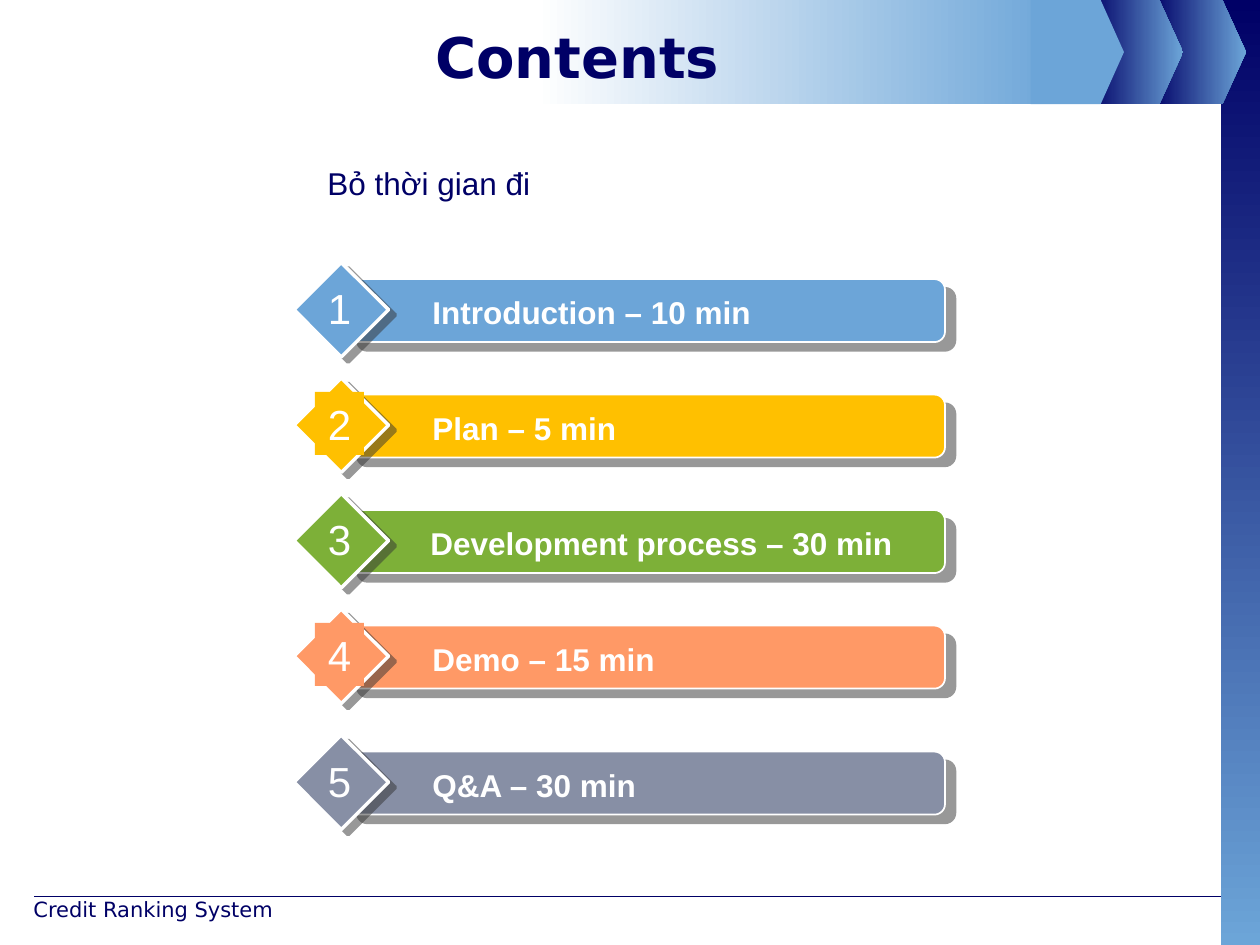
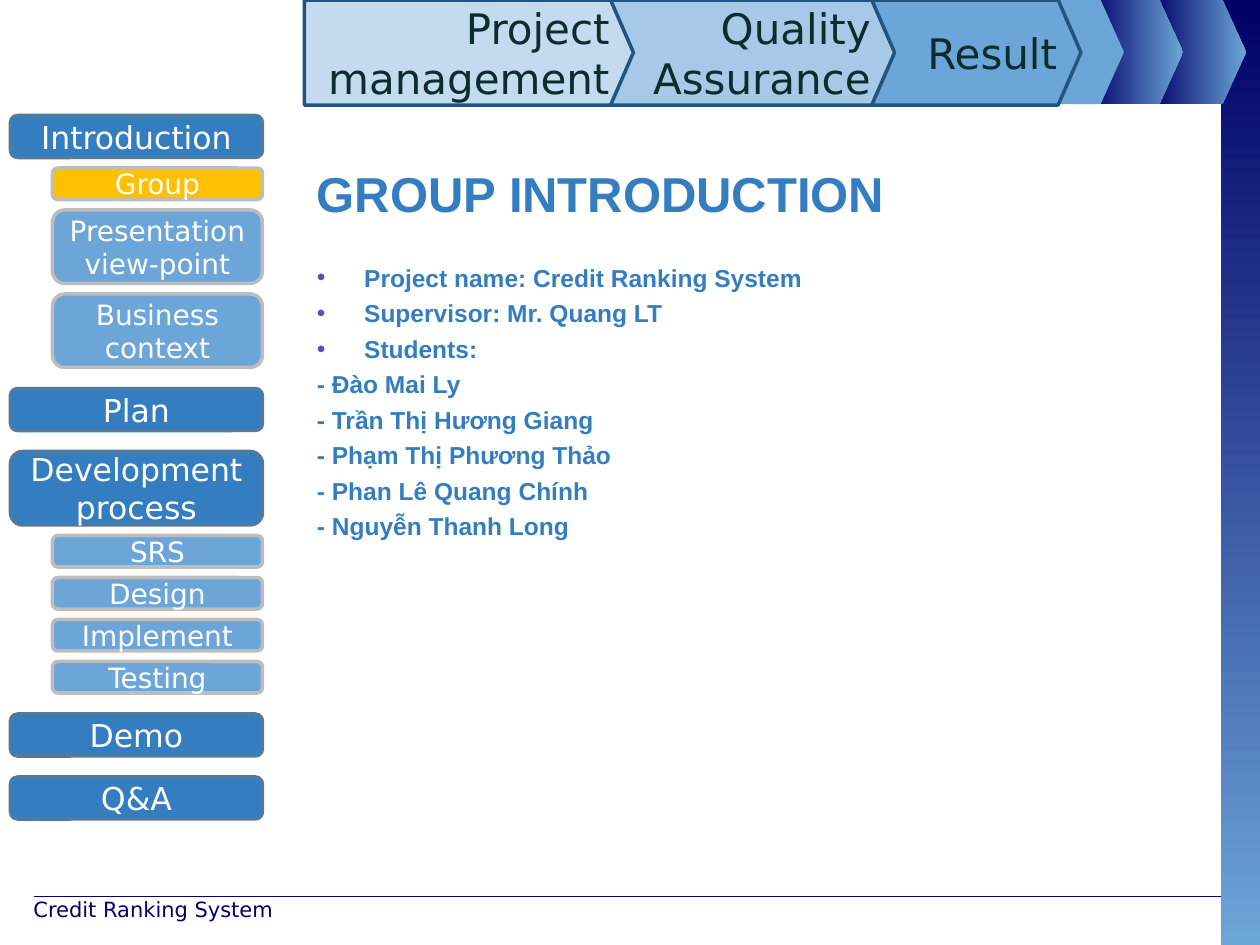
from lxml import etree
from pptx import Presentation
from pptx.dml.color import RGBColor
from pptx.enum import shapes, text
from pptx.oxml.ns import qn
from pptx.util import Pt

SHAPE = shapes.MSO_SHAPE
CENTER, LEFT, RIGHT = text.PP_ALIGN.CENTER, text.PP_ALIGN.LEFT, text.PP_ALIGN.RIGHT
TOP, MIDDLE = text.MSO_ANCHOR.TOP, text.MSO_ANCHOR.MIDDLE

SANS, ARIAL = "DejaVu Sans", "Arial"
NAVY, SKY, BLUE, GOLD, WHITE = "000066", "6CA5D8", "337DC0", "FFC000", "FFFFFF"
FOOTER = "Credit Ranking System"

# label, colour, top, alignment, whether the text boxes are filled
AGENDA = [
    ("Introduction – 10 min", SKY, 150, LEFT, False),
    ("Plan – 5 min", GOLD, 216, LEFT, True),
    ("Development process – 30 min", "7DB038", 282, CENTER, False),
    ("Demo – 15 min", "FF9966", 348, LEFT, True),
    ("Q&A – 30 min", "878FA5", 420, LEFT, False),
]

# section, height, sub-sections as (name, height)
MENU = [
    ("Introduction", 24, [("Group", 18), ("Presentation view-point", 42),
                          ("Business context", 42)]),
    ("Plan", 24, []),
    ("Development process", 42, [("SRS", 18), ("Design", 18),
                                 ("Implement", 18), ("Testing", 18)]),
    ("Demo", 24, []),
    ("Q&A", 24, []),
]
CURRENT = "Group"

# name, left, width, colour; the later ones lie on top
STAGES = [
    ("Result", 424, 193.7, SKY),
    ("Quality Assurance", 317.5, 193.7, "A7C9E8"),
    ("Project management", 174, 188, "C4DBEF"),
]

HEADING = "GROUP INTRODUCTION"
FACTS = ["Project name: Credit Ranking System", "Supervisor: Mr. Quang LT", "Students:"]
STUDENTS = ["- Đào Mai Ly", "- Trần Thị Hương Giang", "- Phạm Thị Phương Thảo",
            "- Phan Lê Quang Chính", "- Nguyễn Thanh Long"]


def rgb(value):
    return RGBColor.from_string(value)


def add_run(p, words, size, font, color, bold=False):
    r = p.add_run()
    r.text = words
    r.font.size, r.font.name, r.font.bold = Pt(size), font, bold
    r.font.color.rgb = rgb(color)


def write(sp, words, size, font, color, align=LEFT, anchor=TOP, bold=False, wrap=True):
    tf = sp.text_frame
    tf.word_wrap, tf.vertical_anchor = wrap, anchor
    p = tf.paragraphs[0]
    p.alignment = align
    add_run(p, words, size, font, color, bold)


def add_text(slide, box, *args, **kwargs):
    sp = slide.shapes.add_textbox(*map(Pt, box))
    write(sp, *args, **kwargs)
    return sp


def add_shape(slide, kind, box, fill, line=None, adj=None):
    """Fill is one colour, or (first colour, last colour, angle); line is (colour, width)."""
    sp = slide.shapes.add_shape(kind, *map(Pt, box))
    sp.shadow.inherit = False
    if adj is not None:
        sp.adjustments[0] = adj
    if isinstance(fill, str):
        sp.fill.solid()
        sp.fill.fore_color.rgb = rgb(fill)
    else:
        sp.fill.gradient()
        sp.fill.gradient_angle = fill[2]
        for stop, color in zip(sp.fill.gradient_stops, fill):
            stop.color.rgb = rgb(color)
    if line:
        sp.line.color.rgb = rgb(line[0])
        sp.line.width = Pt(line[1])
    else:
        sp.line.fill.background()
    return sp


def cast_shadow(sp, distance, degrees):
    effects = sp._element.spPr.find(qn("a:effectLst"))
    shadow = etree.SubElement(effects, qn("a:outerShdw"), blurRad="0",
                              dist=str(Pt(distance)), dir=str(degrees * 60000),
                              algn="ctr", rotWithShape="0")
    color = etree.SubElement(shadow, qn("a:srgbClr"), val="333333")
    etree.SubElement(color, qn("a:alpha"), val="50000")


def set_indent(p, hang, bullet_color=None):
    pPr = p._p.get_or_add_pPr()
    pPr.set("marL", str(Pt(hang)))
    pPr.set("indent", str(-Pt(hang)))
    if bullet_color:
        color = etree.SubElement(pPr, qn("a:buClr"))
        etree.SubElement(color, qn("a:srgbClr"), val=bullet_color)
        etree.SubElement(pPr, qn("a:buFont"), typeface=ARIAL)
        etree.SubElement(pPr, qn("a:buChar"), char="•")


def new_slide(prs):
    """Add a slide with the shared top band, side band and footer."""
    slide = prs.slides.add_slide(prs.slide_layouts[6])
    rule = slide.shapes.add_connector(shapes.MSO_CONNECTOR.STRAIGHT,
                                      Pt(19.5), Pt(512.5), Pt(697.5), Pt(512.5))
    rule.line.color.rgb = rgb(NAVY)
    rule.line.width = Pt(0.75)
    etree.SubElement(rule._element.spPr, qn("a:effectLst"))

    add_shape(slide, SHAPE.RECTANGLE, (697.5, 0, 22.5, 540), (NAVY, SKY, 270))
    for left in (658, 622):
        add_shape(slide, SHAPE.PENTAGON, (left, 0, 54, 59.5), (NAVY, SKY, 0), adj=0.25)
    add_shape(slide, SHAPE.RECTANGLE, (306, 0, 301, 59.5), (WHITE, SKY, 0))
    add_shape(slide, SHAPE.PENTAGON, (589, 0, 53.3, 59.5), SKY, adj=0.25)
    add_text(slide, (12, 509, 168, 25), FOOTER, 12, SANS, NAVY)
    return slide


def add_agenda_row(slide, number, label, color, top, align, filled):
    bar = add_shape(slide, SHAPE.ROUNDED_RECTANGLE, (198, top + 9.5, 342, 36),
                    color, (WHITE, 1))
    cast_shadow(bar, 7.8, 40)
    diamond = add_shape(slide, SHAPE.DIAMOND, (168, top, 54, 54), color, (WHITE, 2))
    cast_shadow(diamond, 5, 37)
    label_box = (234, top + 14, 288, 29) if align == CENTER else (240, top + 14, 270, 29)
    number_box = (180, top + 8, 28, 36)
    for box, words, size, al, bold in ((label_box, label, 18, align, True),
                                       (number_box, str(number), 24, CENTER, False)):
        if filled:
            sp = add_shape(slide, SHAPE.RECTANGLE, box, color)
        else:
            sp = slide.shapes.add_textbox(*map(Pt, box))
        write(sp, words, size, ARIAL, WHITE, al, bold=bold, wrap=bold)


def add_menu(slide):
    def button(words, left, top, width, height, fill, line, size):
        sp = add_shape(slide, SHAPE.ROUNDED_RECTANGLE, (left, top, width, height),
                       fill, (line, 2))
        write(sp, words, size, SANS, WHITE, CENTER, MIDDLE)

    top = 66
    for section, height, parts in MENU:
        button(section, 6, top, 144, height, BLUE, "507AA0", 18)
        top += height
        for part, part_height in parts:
            top += 6
            fill = GOLD if part == CURRENT else SKY
            button(part, 30, top, 120, part_height, fill, "BDBDBD", 16)
            top += part_height
        top += 12


def build_contents(prs):
    slide = new_slide(prs)
    add_text(slide, (36, 9.5, 588, 45), "Contents", 32, SANS, NAVY, CENTER, MIDDLE, bold=True)
    for number, row in enumerate(AGENDA, 1):
        add_agenda_row(slide, number, *row)
    add_text(slide, (180, 90, 132, 29), "Bỏ thời gian đi", 18, ARIAL, NAVY, wrap=False)


def build_group(prs):
    slide = new_slide(prs)
    body = add_text(slide, (174, 90, 516, 60), HEADING, 28, ARIAL, BLUE, bold=True)
    heading = body.text_frame.paragraphs[0]
    heading.space_before, heading.space_after = Pt(2.5), Pt(19.5)
    for words in FACTS + STUDENTS:
        p = body.text_frame.add_paragraph()
        p.space_before = Pt(3.5)
        set_indent(p, 27, "5D4BC7" if words in FACTS else None)
        add_run(p, words, 14, ARIAL, BLUE, True)
    add_menu(slide)
    for name, left, width, color in STAGES:
        sp = add_shape(slide, SHAPE.PENTAGON, (left, 0, width, 60), color,
                       ("225480", 2), adj=0.217)
        write(sp, name, 24, SANS, "0C2D2E", RIGHT, MIDDLE)


def main():
    prs = Presentation()
    prs.slide_width, prs.slide_height = Pt(720), Pt(540)
    build_contents(prs)
    build_group(prs)
    prs.save("out.pptx")


if __name__ == "__main__":
    main()
